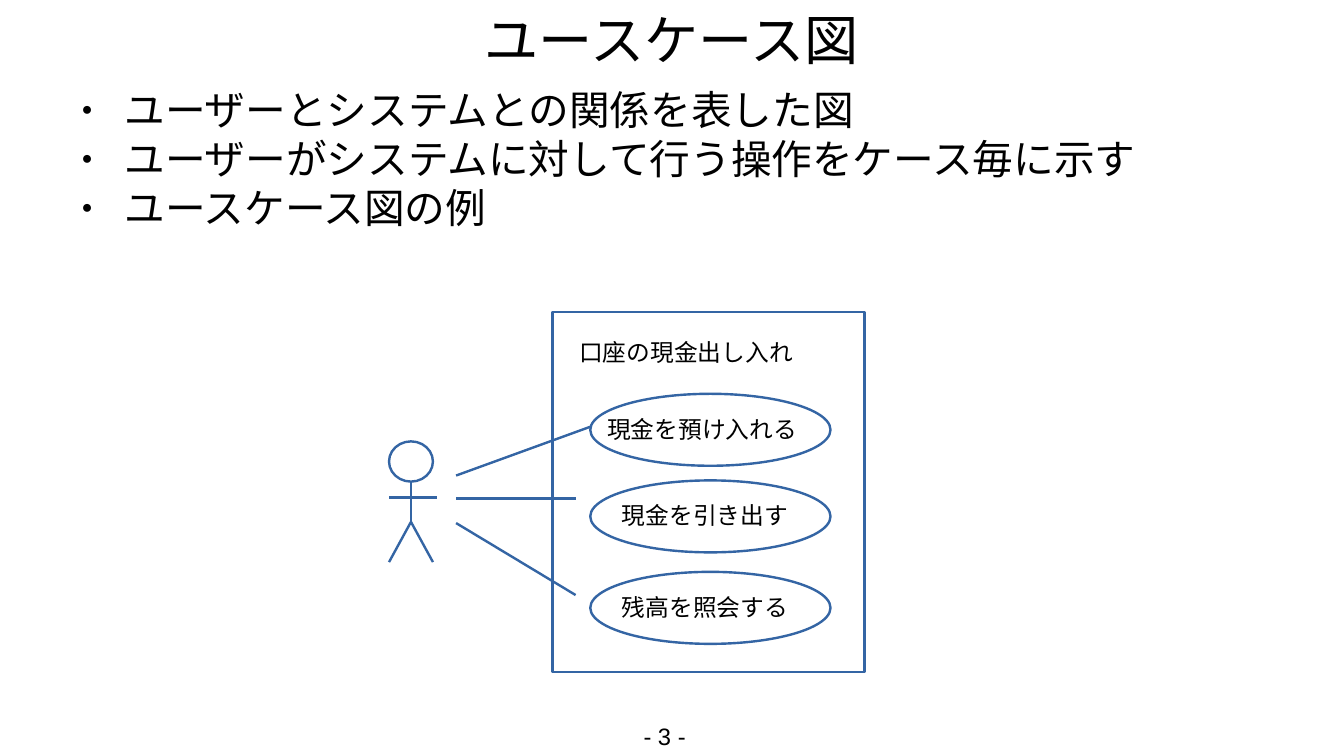
from lxml.etree import SubElement
from pptx import Presentation
from pptx.dml.color import RGBColor
from pptx.enum.shapes import MSO_CONNECTOR as CONN, MSO_SHAPE as SHAPE
from pptx.enum.text import MSO_ANCHOR as ANCHOR, PP_ALIGN as ALIGN
from pptx.oxml.ns import qn
from pptx.util import Inches, Pt


def rgb(value):
    return RGBColor.from_string(value)


class Diagram:
    font = "Arial"
    ink = "000000"
    stroke = "3465A4"
    weight = 1.42

    def __init__(self, slide):
        self.slide = slide
        self.shapes = slide.shapes

    def text(self, box, lines, size=14, align=ALIGN.LEFT, anchor=ANCHOR.TOP,
             inset=(0.1, 0.05), bullet=False):
        tf = self.shapes.add_textbox(*map(Inches, box)).text_frame
        tf.word_wrap = True
        tf.vertical_anchor = anchor
        tf.margin_left = tf.margin_right = Inches(inset[0])
        tf.margin_top = tf.margin_bottom = Inches(inset[1])
        for i, line in enumerate(lines):
            p = tf.add_paragraph() if i else tf.paragraphs[0]
            p.alignment = align
            if bullet:
                self.bullet(p)
            r = p.add_run()
            r.text = line
            r.font.name = self.font
            r.font.size = Pt(size)
            r.font.color.rgb = rgb(self.ink)

    def bullet(self, p):
        pPr = p._p.get_or_add_pPr()
        pPr.set("marL", str(Inches(0.47)))
        pPr.set("indent", str(Inches(-0.35)))
        color = SubElement(pPr, qn("a:buClr"))
        SubElement(color, qn("a:srgbClr"), val=self.ink)
        SubElement(pPr, qn("a:buSzPct"), val="45000")
        SubElement(pPr, qn("a:buFont"), typeface=self.font)
        SubElement(pPr, qn("a:buChar"), char="●")

    def outline(self, s):
        s.line.color.rgb = rgb(self.stroke)
        s.line.width = Pt(self.weight)

    def shape(self, kind, box):
        s = self.shapes.add_shape(kind, *map(Inches, box))
        s.shadow.inherit = False
        s.fill.background()
        self.outline(s)

    def line(self, *ends):
        s = self.shapes.add_connector(CONN.STRAIGHT, *map(Inches, ends))
        SubElement(s._element.spPr, qn("a:effectLst"))
        self.outline(s)

    def actor(self, left, top):
        self.shapes = self.slide.shapes.add_group_shape().shapes
        mid, neck, hip, foot = left + 0.18, top + 0.33, top + 0.66, top + 0.99
        self.shape(SHAPE.OVAL, (left, top, 0.36, 0.33))
        self.line(left, top + 0.46, left + 0.39, top + 0.46)
        self.line(mid, neck, mid, hip)
        for x in (left, left + 0.36):
            self.line(mid, hip, x, foot)
        self.shapes = self.slide.shapes

    def use_case(self, top, label, label_left, label_width):
        self.shape(SHAPE.OVAL, (4.84, top, 1.97, 0.59))
        self.text((label_left, top + 0.12, label_width, 0.39), [label])


prs = Presentation()
prs.slide_width, prs.slide_height = Inches(11.02), Inches(6.2)
d = Diagram(prs.slides.add_slide(prs.slide_layouts[6]))

d.text((0.55, 0.03, 9.92, 0.58), ["ユースケース図"], 32,
       ALIGN.CENTER, ANCHOR.MIDDLE, (0, 0))
d.text((0.55, 0.7, 9.92, 1.86), [
    "ユーザーとシステムとの関係を表した図",
    "ユーザーがシステムに対して行う操作をケース毎に示す",
    "ユースケース図の例",
], 24, inset=(0, 0), bullet=True)

d.actor(3.19, 3.62)
d.shape(SHAPE.RECTANGLE, (4.53, 2.56, 2.56, 2.95))
d.text((4.65, 2.72, 1.97, 0.39), ["口座の現金出し入れ"])

for use_case in [
    (3.23, "現金を預け入れる", 4.88, 1.77),
    (3.94, "現金を引き出す", 5, 1.61),
    (4.69, "残高を照会する", 5, 1.61),
]:
    d.use_case(*use_case)

for start_y, end_x, end_y in [(3.9, 4.84, 3.5), (4.09, 4.72, 4.09), (4.29, 4.72, 4.88)]:
    d.line(3.74, start_y, end_x, end_y)

d.text((4.93, 5.87, 1.04, 0.35), ["- 3 -"], align=ALIGN.CENTER)

prs.save("out.pptx")
